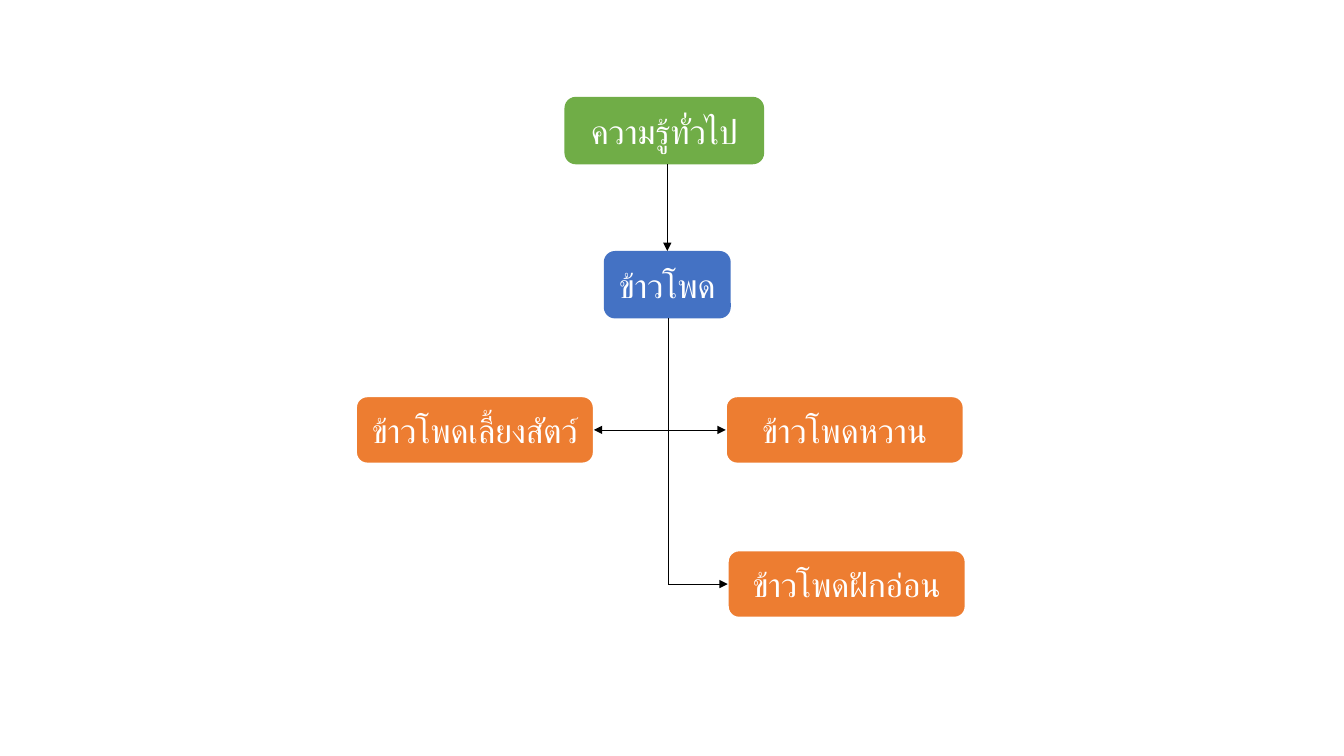
import pptx
import pptx.util
import pptx.dml.color
import pptx.enum.shapes
import pptx.enum.text
import pptx.oxml
import pptx.oxml.ns
import lxml.etree

Pt = pptx.util.Pt
RGB = pptx.dml.color.RGBColor.from_string
qn = pptx.oxml.ns.qn

THEME = {
    "topic": "70AD47",
    "crop": "4472C4",
    "variety": "ED7D31",
    "white": "FFFFFF",
    "connector": "000000",
    "font": "Calibri",
    "text_size": 24,
    "outline": 1.5,
    "connector_width": 0.5,
}
BOX_HEIGHT = 48.2
VARIETY_WIDTH = 170


def add_box(slide, text, role, left, top, width):
    shape = slide.shapes.add_shape(
        pptx.enum.shapes.MSO_SHAPE.ROUNDED_RECTANGLE,
        Pt(left), Pt(top), Pt(width), Pt(BOX_HEIGHT))
    shape.shadow.inherit = False
    shape.fill.solid()
    shape.fill.fore_color.rgb = RGB(THEME[role])
    if role == "variety":
        shape.line.color.rgb = RGB(THEME["white"])
        shape.line.width = Pt(THEME["outline"])
    else:
        shape.line.fill.background()
    frame = shape.text_frame
    frame.word_wrap = True
    frame.vertical_anchor = pptx.enum.text.MSO_ANCHOR.MIDDLE
    paragraph = frame.paragraphs[0]
    paragraph.text = text
    paragraph.alignment = pptx.enum.text.PP_ALIGN.CENTER
    paragraph.font.name = THEME["font"]
    paragraph.font.size = Pt(THEME["text_size"])
    paragraph.font.color.rgb = RGB(THEME["white"])
    return shape


def add_line(slide, start, end, arrow=True):
    connector = slide.shapes.add_connector(
        pptx.enum.shapes.MSO_CONNECTOR.STRAIGHT, *map(Pt, start + end))
    connector.line.color.rgb = RGB(THEME["connector"])
    connector.line.width = Pt(THEME["connector_width"])
    if arrow:
        line = connector.line._get_or_add_ln()
        lxml.etree.SubElement(line, qn("a:tailEnd"), type="triangle")
    lxml.etree.SubElement(connector._element.spPr, qn("a:effectLst"))


presentation = pptx.Presentation()
presentation.slide_width = Pt(960)
presentation.slide_height = Pt(540)
slide = presentation.slides.add_slide(presentation.slide_layouts[6])

boxes = [
    ("ความรู้ทั่วไป", "topic", 403.2, 69.2, 142.6),
    ("ข้าวโพด", "crop", 431.3, 179.3, 90.7),
    ("ข้าวโพดเลี้ยงสัตว์", "variety", 254.2, 283, VARIETY_WIDTH),
    ("ข้าวโพดหวาน", "variety", 518.4, 283, VARIETY_WIDTH),
    ("ข้าวโพดฝักอ่อน", "variety", 519.8, 393.1, VARIETY_WIDTH),
]
topic, crop, feed_corn, sweet_corn, baby_corn = [add_box(slide, *box) for box in boxes]

stem = crop.left.pt + crop.width.pt / 2
trunk = stem + 0.7
branch_row = feed_corn.top.pt + BOX_HEIGHT / 2
last_row = baby_corn.top.pt + BOX_HEIGHT / 2

add_line(slide, (stem, topic.top.pt + BOX_HEIGHT), (stem, crop.top.pt))
add_line(slide, (trunk, crop.top.pt + BOX_HEIGHT), (trunk, last_row), arrow=False)
add_line(slide, (trunk, branch_row), (sweet_corn.left.pt, branch_row))
add_line(slide, (trunk, branch_row), (feed_corn.left.pt + VARIETY_WIDTH, branch_row))
add_line(slide, (trunk, last_row), (baby_corn.left.pt, last_row))

presentation.save("out.pptx")
